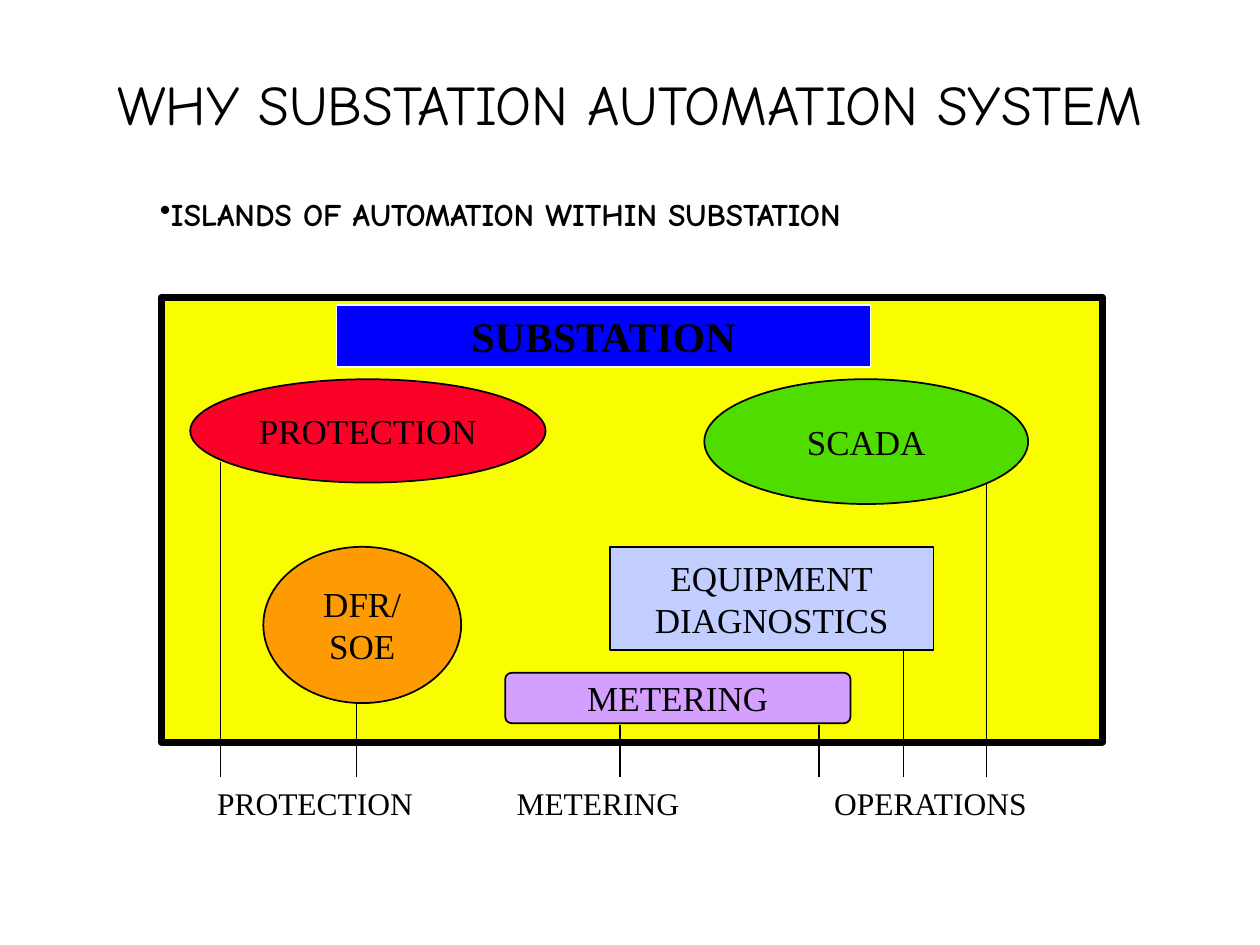
"""Build the slide on islands of automation within a substation."""
from dataclasses import dataclass
from typing import NamedTuple

from lxml.etree import SubElement
from pptx import Presentation
from pptx.dml.color import RGBColor
from pptx.enum.shapes import MSO_CONNECTOR as Connector, MSO_SHAPE as Preset
from pptx.enum.text import MSO_ANCHOR as Anchor, MSO_AUTO_SIZE as AutoSize, PP_ALIGN as Align
from pptx.oxml.ns import qn
from pptx.util import Emu, Pt

EMU_PER_PX = 9144
WIRE_END = 617
LABEL_HEIGHT = 40


@dataclass(frozen=True)
class Theme:
    heading_font: str = "Comic Neue"
    body_font: str = "Times New Roman"
    ink: str = "000000"
    paper: str = "FFFFFF"
    yard: str = "FAFD00"
    banner: str = "0000FF"
    red: str = "FC0128"
    green: str = "51DC00"
    orange: str = "FE9B03"
    violet: str = "D49FFF"
    lavender: str = "C1CEFF"
    title_size: int = 32
    banner_size: int = 24
    island_size: int = 20
    label_size: int = 18
    thin: int = 1
    thick: int = 4


THEME = Theme()


class Area(NamedTuple):
    left: int
    top: int
    width: int
    height: int


@dataclass(frozen=True)
class Block:
    area: Area
    fill: str
    lines: tuple[str, ...] = ()
    preset: Preset = Preset.RECTANGLE
    outline: str = THEME.ink
    weight: int = THEME.thin
    size: int = THEME.island_size
    bold: bool = False


class Wire(NamedTuple):
    x: int
    top: int


class Label(NamedTuple):
    text: str
    left: int
    width: int


BLOCKS = (
    Block(Area(128, 236, 747, 353), THEME.yard, weight=THEME.thick),
    Block(Area(151, 301, 282, 82), THEME.red, ("PROTECTION",), Preset.OVAL),
    Block(Area(559, 301, 257, 99), THEME.green, ("SCADA",), Preset.OVAL),
    Block(Area(209, 434, 157, 124), THEME.orange, ("DFR/SOE",), Preset.OVAL),
    Block(Area(401, 534, 274, 40), THEME.violet, ("METERING",), Preset.ROUNDED_RECTANGLE),
    Block(Area(484, 434, 257, 82), THEME.lavender, ("EQUIPMENT", "DIAGNOSTICS")),
    Block(Area(267, 242, 424, 49), THEME.banner, ("SUBSTATION",),
          outline=THEME.paper, size=THEME.banner_size, bold=True),
)
WIRES = (Wire(175, 367), Wire(283, 558), Wire(492, 575),
         Wire(650, 575), Wire(717, 517), Wire(783, 383))
LABELS = (Label("PROTECTION", 134, 232), Label("METERING", 392, 165),
          Label("OPERATIONS", 635, 207))


def px(length: int) -> Emu:
    """Turn slide pixels into EMU."""
    return Emu(length * EMU_PER_PX)


def place(area: Area) -> tuple[Emu, ...]:
    """Turn an area into EMU measures."""
    return tuple(px(length) for length in area)


def style(para, font: str, size: int, bold: bool = False) -> None:
    """Set the font of a whole paragraph."""
    para.font.name = font
    para.font.size = Pt(size)
    para.font.bold = bold
    para.font.color.rgb = RGBColor.from_string(THEME.ink)


def draw_block(page, block: Block) -> None:
    """Draw a filled shape with centred lines of text."""
    shape = page.shapes.add_shape(block.preset, *place(block.area))
    shape.shadow.inherit = False
    shape.fill.solid()
    shape.fill.fore_color.rgb = RGBColor.from_string(block.fill)
    shape.line.color.rgb = RGBColor.from_string(block.outline)
    shape.line.width = Pt(block.weight)
    if block.preset == Preset.ROUNDED_RECTANGLE:
        shape.adjustments[0] = 0.125
    if not block.lines:
        return
    frame = shape.text_frame
    frame.word_wrap = True
    frame.vertical_anchor = Anchor.MIDDLE
    frame.text = "\n".join(block.lines)
    for para in frame.paragraphs:
        para.alignment = Align.CENTER
        style(para, THEME.body_font, block.size, block.bold)


def draw_wire(page, wire: Wire) -> None:
    """Draw a vertical line from an island down to the labels."""
    line = page.shapes.add_connector(
        Connector.STRAIGHT, px(wire.x), px(wire.top), px(wire.x), px(WIRE_END))
    line.line.color.rgb = RGBColor.from_string(THEME.ink)
    line.line.width = Pt(THEME.thin)
    SubElement(line._element.spPr, qn("a:effectLst"))


def draw_label(page, label: Label) -> None:
    """Draw a department name below the yard."""
    area = Area(label.left, WIRE_END, label.width, LABEL_HEIGHT)
    draw_block(page, Block(area, THEME.paper, (label.text,),
                           outline=THEME.paper, size=THEME.label_size))


def draw_title(page, text: str) -> None:
    """Fill and place the title placeholder."""
    title = page.shapes.title
    title.left, title.top, title.width, title.height = place(Area(0, 29, 1000, 106))
    frame = title.text_frame
    frame.text = text
    frame.word_wrap = True
    frame.auto_size = AutoSize.NONE
    frame.vertical_anchor = Anchor.MIDDLE
    para = frame.paragraphs[0]
    para.alignment = Align.CENTER
    style(para, THEME.heading_font, THEME.title_size)


def draw_bullet(page, text: str) -> None:
    """Write the bulleted statement under the title."""
    box = page.shapes.add_textbox(*place(Area(117, 150, 808, 40)))
    frame = box.text_frame
    frame.word_wrap = True
    frame.text = text
    para = frame.paragraphs[0]
    properties = para._p.get_or_add_pPr()
    properties.set("marL", "0")
    properties.set("indent", str(px(-12)))
    SubElement(properties, qn("a:buChar"), char="•")
    style(para, THEME.heading_font, THEME.label_size, bold=True)


def main() -> None:
    """Assemble and save the deck."""
    deck = Presentation()
    deck.slide_width, deck.slide_height = px(1000), px(750)
    page = deck.slides.add_slide(deck.slide_layouts.get_by_name("Title Only"))
    draw_title(page, "WHY SUBSTATION AUTOMATION SYSTEM")
    draw_bullet(page, "ISLANDS OF AUTOMATION WITHIN SUBSTATION")
    for block in BLOCKS:
        draw_block(page, block)
    for wire in WIRES:
        draw_wire(page, wire)
    for label in LABELS:
        draw_label(page, label)
    deck.save("out.pptx")


if __name__ == "__main__":
    main()
